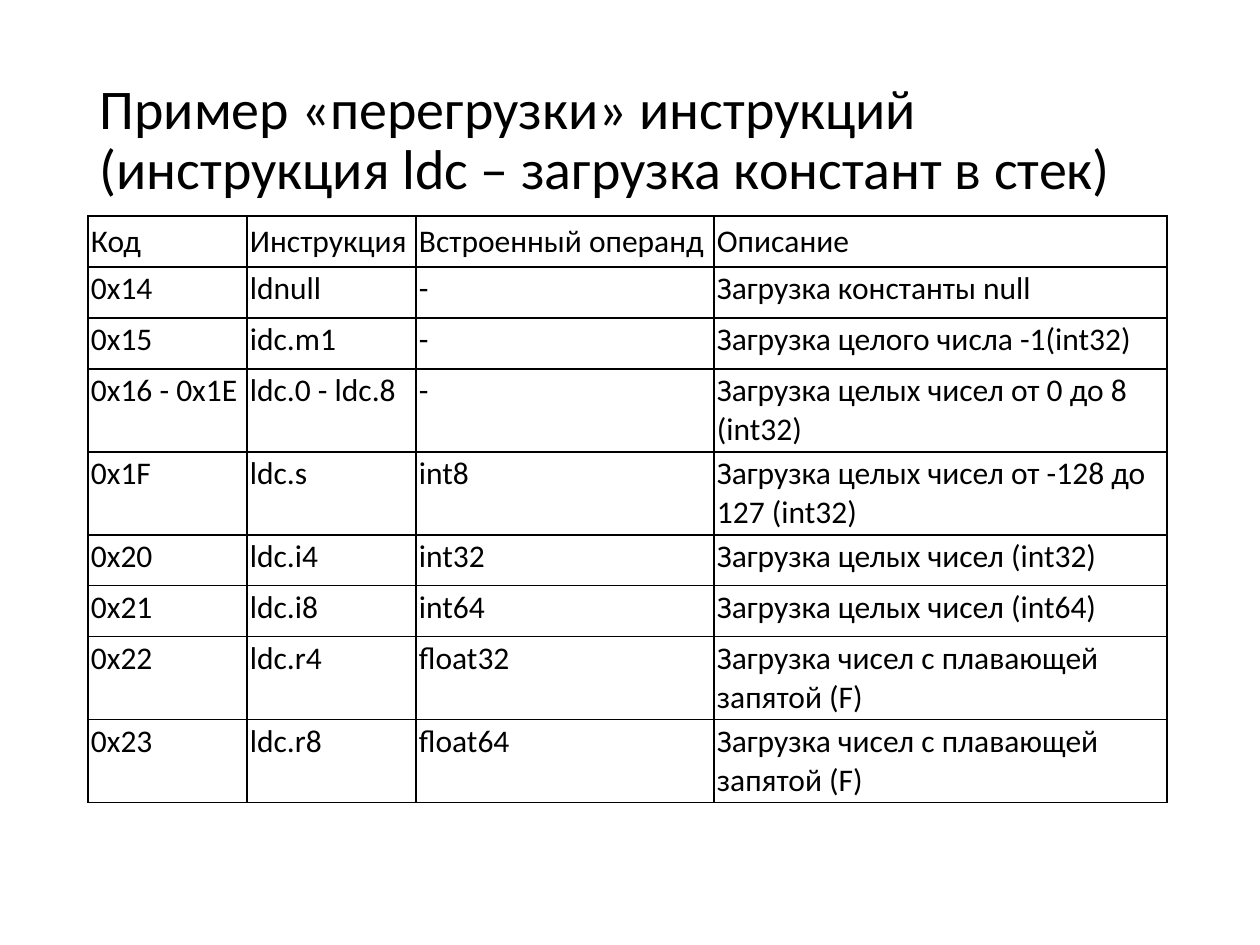
"""Builds a slide with a table of the ldc instruction variants."""
from pptx import Presentation
from pptx.dml.color import RGBColor
from pptx.enum.text import MSO_ANCHOR, PP_ALIGN
from pptx.oxml import parse_xml
from pptx.oxml.ns import nsdecls
from pptx.util import Pt

PX = 914400 // 126
FONT = "Calibri"
COLORS = {"ink": "000000"}
COLUMN_WIDTHS = [159, 169, 298, 453]
ROW_HEIGHT = 51
TITLE = "Пример «перегрузки» инструкций (инструкция ldc – загрузка констант в стек)"
INSTRUCTIONS = [
    ("Код", "Инструкция", "Встроенный операнд", "Описание"),
    ("0x14", "ldnull", "-", "Загрузка константы null"),
    ("0x15", "idc.m1", "-", "Загрузка целого числа -1(int32)"),
    ("0x16 - 0x1E", "ldc.0 - ldc.8", "-", "Загрузка целых чисел от 0 до 8 (int32)"),
    ("0x1F", "ldc.s", "int8", "Загрузка целых чисел от -128 до 127 (int32)"),
    ("0x20", "ldc.i4", "int32", "Загрузка целых чисел (int32)"),
    ("0x21", "ldc.i8", "int64", "Загрузка целых чисел (int64)"),
    ("0x22", "ldc.r4", "float32", "Загрузка чисел с плавающей запятой (F)"),
    ("0x23", "ldc.r8", "float64", "Загрузка чисел с плавающей запятой (F)"),
]


def write(frame, text, size):
    paragraph = frame.paragraphs[0]
    paragraph.alignment = PP_ALIGN.LEFT
    run = paragraph.add_run()
    run.text = text
    run.font.name = FONT
    run.font.size = Pt(size)
    run.font.color.rgb = RGBColor.from_string(COLORS["ink"])
    return paragraph


def draw_borders(cell):
    properties = cell._tc.get_or_add_tcPr()
    for position, side in enumerate(("lnL", "lnR", "lnT", "lnB")):
        properties.insert(position, parse_xml(
            f'<a:{side} {nsdecls("a")} w="{Pt(1)}"><a:solidFill>'
            f'<a:srgbClr val="{COLORS["ink"]}"/></a:solidFill></a:{side}>'))


deck = Presentation()
deck.slide_width, deck.slide_height = 1260 * PX, 945 * PX
slide = deck.slides.add_slide(deck.slide_layouts[5])

heading = slide.shapes.title
heading_format = {"left": 87, "top": 50, "width": 1086, "height": 183}
for name, value in heading_format.items():
    setattr(heading, name, value * PX)
heading.text_frame.word_wrap = True
heading.text_frame.vertical_anchor = MSO_ANCHOR.MIDDLE
write(heading.text_frame, TITLE, 32).line_spacing = 0.9

instruction_frame = slide.shapes.add_table(
    len(INSTRUCTIONS), len(COLUMN_WIDTHS), 88 * PX, 216 * PX,
    sum(COLUMN_WIDTHS) * PX, len(INSTRUCTIONS) * ROW_HEIGHT * PX)
instruction_table = instruction_frame.table
for flag in ("first_row", "horz_banding"):
    setattr(instruction_table, flag, False)
for column, width in zip(instruction_table.columns, COLUMN_WIDTHS):
    column.width = width * PX

cell_format = {f"margin_{side}": 3 * PX for side in ("left", "right", "top", "bottom")}
for row_index, (row, texts) in enumerate(zip(instruction_table.rows, INSTRUCTIONS)):
    row.height = ROW_HEIGHT * PX
    for cell, text in zip(row.cells, texts):
        for name, value in cell_format.items():
            setattr(cell, name, value)
        cell.vertical_anchor = MSO_ANCHOR.TOP if row_index else MSO_ANCHOR.MIDDLE
        cell.fill.background()
        draw_borders(cell)
        write(cell.text_frame, text, 18)
instruction_frame.height = 578 * PX

deck.save("out.pptx")
